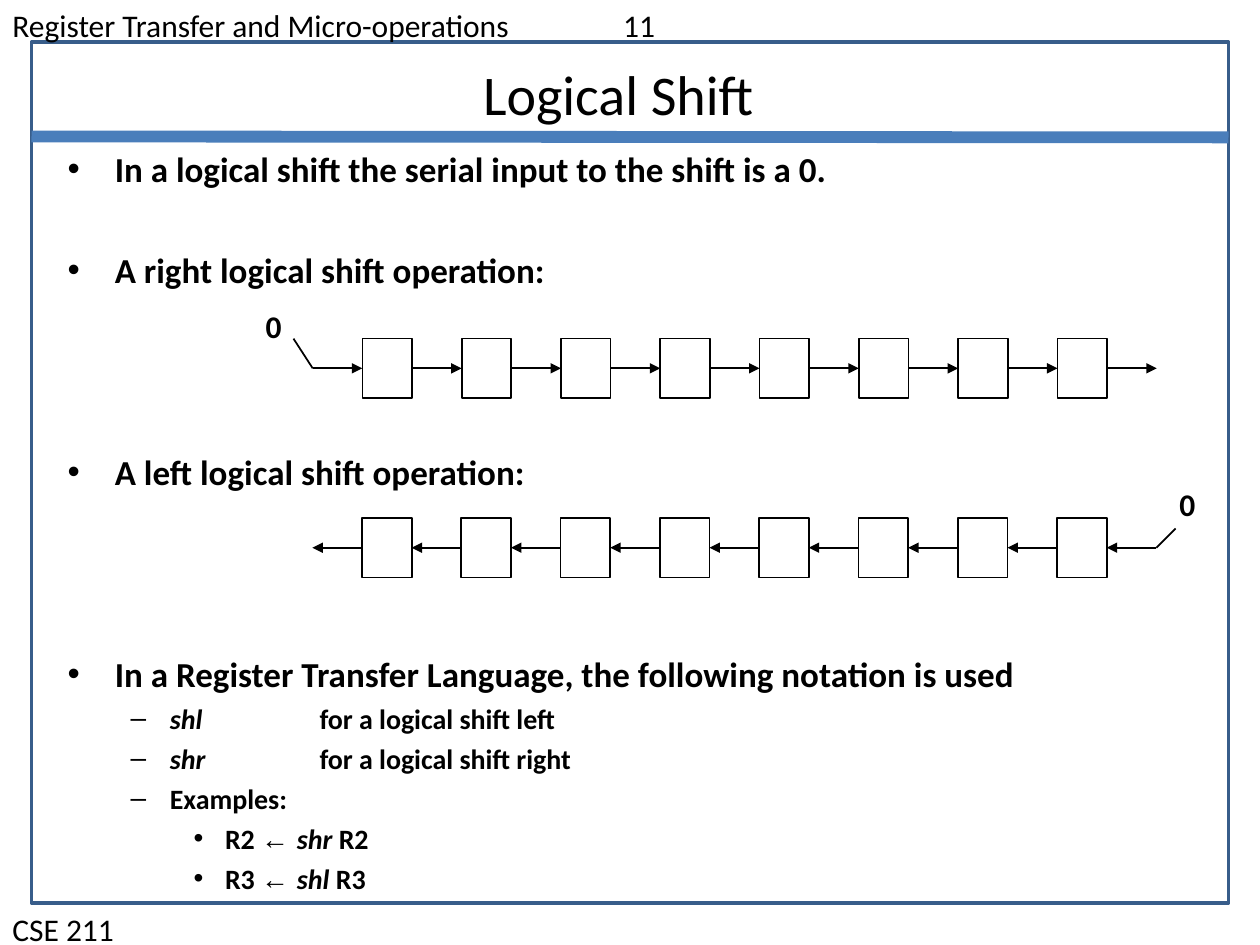
import pptx
import pptx.util
import pptx.dml.color
import pptx.enum.shapes
import pptx.enum.text
import pptx.oxml.ns
import lxml.etree

Pt = pptx.util.Pt
COLORS = {"text": "000000", "frame": "385D8A", "rule": "4A7EBB"}
LEVELS = [
    {"size": 20, "margin": 27, "indent": -27, "bullet": "•"},
    {"size": 16, "margin": 58.5, "indent": -22.5, "bullet": "–"},
    {"size": 16, "margin": 90, "indent": -18, "bullet": "•"},
]
BODY = [
    (0, 5, ["In a logical shift the serial input to the shift is a 0."]),
    (0, 33.7, ["A right logical shift operation:"]),
    (0, 91.6, ["A left logical shift operation:"]),
    (0, 91.6, ["In a Register Transfer Language, the following notation is used"]),
    (1, 3.7, ["*shl", "\tfor a logical shift left"]),
    (1, 3.7, ["*shr", "\tfor a logical shift right"]),
    (1, 3.7, ["Examples:"]),
    (2, 3.7, ["R2 ", "← ", "*shr", " R2"]),
    (2, 3.7, ["R3 ", "← ", "*shl", " R3"]),
]


def rgb(name):
    """Return the named colour."""
    return pptx.dml.color.RGBColor.from_string(COLORS[name])


def add_xml(parent, tag, **attrs):
    """Append a drawing element with attributes."""
    return lxml.etree.SubElement(parent, pptx.oxml.ns.qn(tag), attrs)


def add_tab(p, pos):
    """Add one left tab stop to a paragraph."""
    tabs = add_xml(p._p.get_or_add_pPr(), "a:tabLst")
    add_xml(tabs, "a:tab", pos=str(int(Pt(pos))), algn="l")


def add_run(p, text, size, **formats):
    """Add a run of text with its font values."""
    r = p.add_run()
    r.text = text
    values = {"name": "Calibri", "size": Pt(size), **formats}
    for key, value in values.items():
        setattr(r.font, key, value)
    r.font.color.rgb = rgb("text")


def add_box(s, left, top, width, height, wrap=True):
    """Add a text box and return its text frame."""
    tf = s.shapes.add_textbox(Pt(left), Pt(top), Pt(width), Pt(height)).text_frame
    tf.word_wrap = wrap
    return tf


def add_label(s, left, top, width, height, text, size=18, wrap=True, **formats):
    """Add a one-line text box and return its paragraph."""
    p = add_box(s, left, top, width, height, wrap).paragraphs[0]
    add_run(p, text, size, **formats)
    return p


def add_rect(s, left, top, width, height, color, weight):
    """Add an outlined rectangle without fill."""
    sp = s.shapes.add_shape(pptx.enum.shapes.MSO_SHAPE.RECTANGLE,
                            Pt(left), Pt(top), Pt(width), Pt(height))
    sp.shadow.inherit = False
    sp.fill.background()
    sp.line.color.rgb = rgb(color)
    sp.line.width = Pt(weight)


def add_line(s, x1, y1, x2, y2, color="text", weight=1, arrow=False):
    """Add a straight line, with an optional arrowhead at its end."""
    sp = s.shapes.add_connector(pptx.enum.shapes.MSO_CONNECTOR.STRAIGHT,
                                Pt(x1), Pt(y1), Pt(x2), Pt(y2))
    sp.line.color.rgb = rgb(color)
    sp.line.width = Pt(weight)
    if arrow:
        add_xml(sp.line._get_or_add_ln(), "a:tailEnd", type="triangle")
    add_xml(sp._element.spPr, "a:effectLst")


def add_frame(s, left, top, width, height):
    """Add the frame, title, rule and running header and footer."""
    add_rect(s, left, top, width, height, "frame", 2)
    p = add_label(s, 0, 0, 720, 29.5, "Register Transfer and Micro-operations\t11")
    add_tab(p, 349)
    add_label(s, 0, top + height + 0.7, 720, 29, "CSE 211")
    add_line(s, left, top + 54, left + width, top + 54.5, "rule", 6.75)
    p = add_label(s, left + 36, top + 6.5, 606, 46, "Logical Shift ", 32)
    p.alignment = pptx.enum.text.PP_ALIGN.CENTER


def add_body(s, left, top, width, height):
    """Add the bulleted text."""
    tf = add_box(s, left, top, width, height)
    for i, (level, before, runs) in enumerate(BODY):
        style = LEVELS[level]
        p = tf.add_paragraph() if i else tf.paragraphs[0]
        p.level = level
        p.space_before = Pt(before)
        pPr = p._p.get_or_add_pPr()
        for key, name in {"marL": "margin", "indent": "indent"}.items():
            pPr.set(key, str(int(Pt(style[name]))))
        add_xml(add_xml(pPr, "a:buClr"), "a:srgbClr", val=COLORS["text"])
        add_xml(pPr, "a:buFont", typeface="Arial")
        add_xml(pPr, "a:buChar", char=style["bullet"])
        add_tab(p, 144)
        for text in runs:
            add_run(p, text.lstrip("*"), style["size"], bold=True,
                    italic=text.startswith("*"),
                    name="Arial" if "←" in text else "Calibri")


def add_register(s, left, top, width, height, to_right, lead, zero, cells=8):
    """Add a shift register with its serial input of 0."""
    step = width / (2 * cells + 1)
    mid = top + height / 2
    for i in range(cells):
        add_rect(s, left + (2 * i + 1) * step, top, step, height, "text", 1)
    for i in range(cells + 1):
        ends = [left + 2 * i * step, left + (2 * i + 1) * step]
        x1, x2 = ends if to_right else reversed(ends)
        add_line(s, x1, mid, x2, mid, arrow=True)
    x = left if to_right else left + width
    add_line(s, x, mid, x + lead[0], mid + lead[1])
    add_label(s, x + zero[0], mid + zero[1], 23, 28.8, "0", wrap=False, bold=True)


prs = pptx.Presentation()
prs.slide_width, prs.slide_height = Pt(720), Pt(540)
s = prs.slides.add_slide(prs.slide_layouts[6])
add_frame(s, 18, 24, 684, 492)
add_body(s, 31.5, 80.5, 646, 447)
add_register(s, 178.7, 193.5, 482.3, 34, True, (-11, -17), (-34, -38.4))
add_register(s, 178.5, 296, 482.3, 34, False, (11, -11), (6, -39.3))
prs.save("out.pptx")
